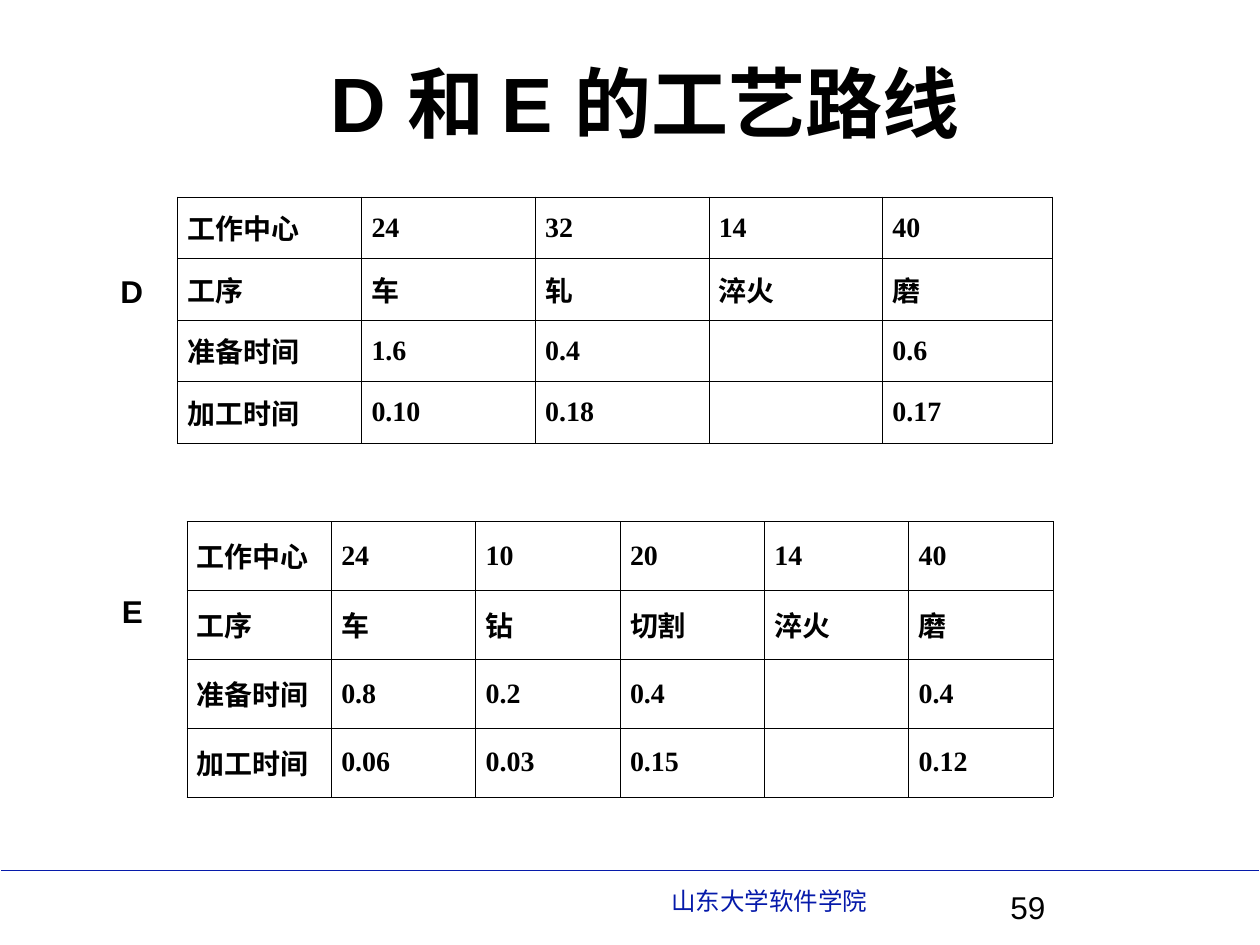
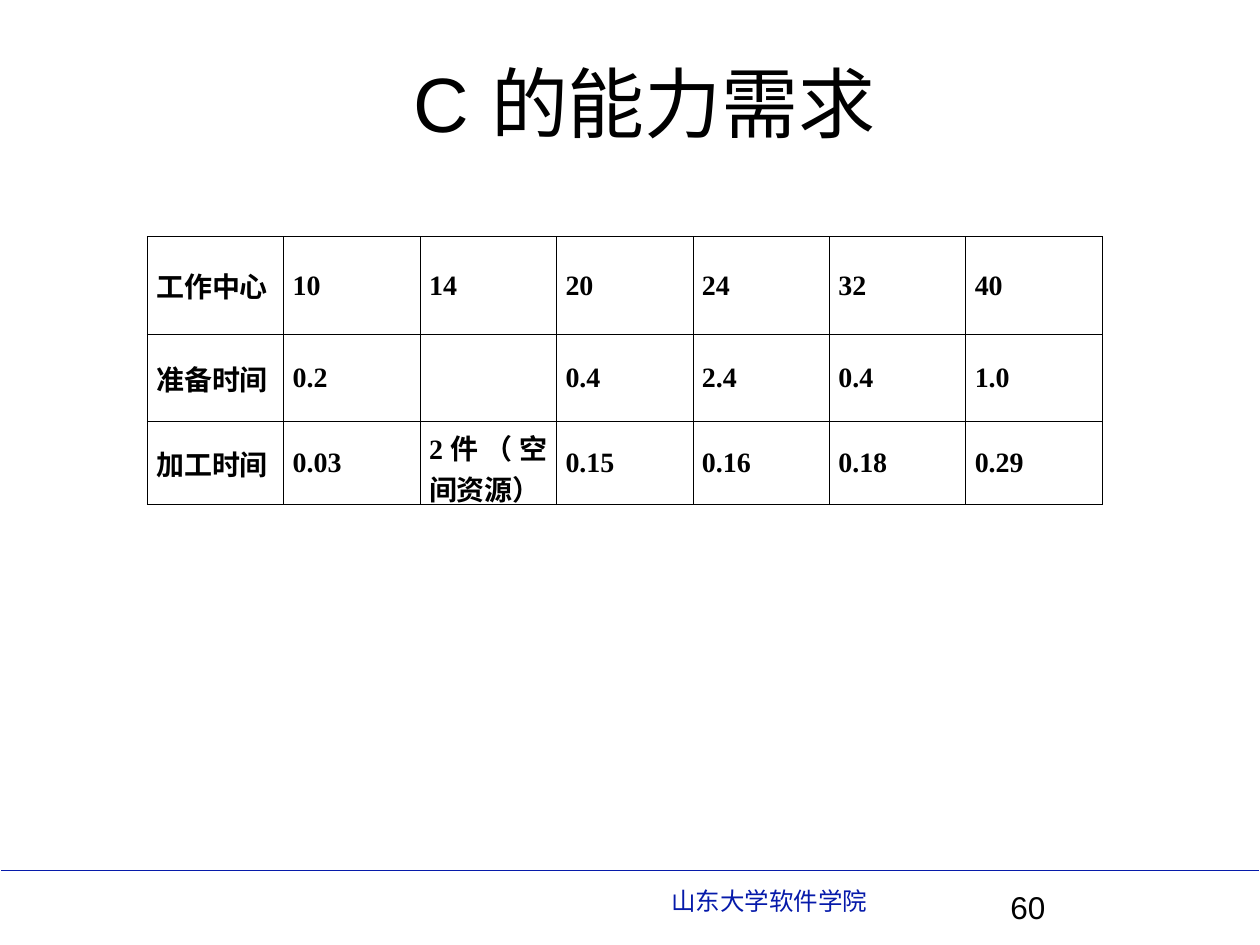
from pptx import Presentation
from pptx.dml.color import RGBColor
from pptx.enum.shapes import MSO_CONNECTOR
from pptx.enum.text import MSO_ANCHOR, MSO_AUTO_SIZE, PP_ALIGN
from pptx.oxml.ns import qn
from pptx.util import Cm, Pt
from lxml import etree

LINE = MSO_CONNECTOR.STRAIGHT
TOP, MIDDLE = MSO_ANCHOR.TOP, MSO_ANCHOR.MIDDLE
LEFT, CENTER, JUSTIFY = PP_ALIGN.LEFT, PP_ALIGN.CENTER, PP_ALIGN.JUSTIFY
FIXED = MSO_AUTO_SIZE.NONE

COLORS = {"ink": "000000", "blue": "061AAA"}
SANS, SERIF = "Arial", "Times New Roman"

# Boxes: left, top, width, height in cm
TITLE = (5.36, 0.99, 15.29, 2.13)
SCHOOL = (13.28, 17.73, 11, 0.86)
NUMBER = (20.12, 17.78, 5.28, 1.27)
RULE_Y = 17.55

CENTERS, STEPS, SETUP, RUN = "工作中心", "工序", "准备时间", "加工时间"


def write(frame, text, size=18, font=SANS, color="ink", bold=False,
          align=LEFT, anchor=TOP):
    """Fill a text frame with one formatted paragraph."""
    frame.word_wrap = True
    frame.vertical_anchor = anchor
    para = frame.paragraphs[0]
    para.alignment = align
    para.font.size = Pt(size)
    if text:
        run = para.add_run()
        run.text = text
        face = run.font
        face.name, face.size, face.bold = font, Pt(size), bold
        face.color.rgb = RGBColor.from_string(COLORS[color])


def label(slide, box, text, **style):
    shape = slide.shapes.add_textbox(*map(Cm, box))
    write(shape.text_frame, text, **style)


def head(slide, text, bold):
    title = slide.shapes.title
    title.left, title.top, title.width, title.height = map(Cm, TITLE)
    title.text_frame.auto_size = FIXED
    write(title.text_frame, text, size=44, bold=bold, align=CENTER)


def foot(slide, number):
    rule = slide.shapes.add_connector(
        LINE, Cm(0.03), Cm(RULE_Y), Cm(25.37), Cm(RULE_Y))
    rule.line.color.rgb = RGBColor.from_string(COLORS["blue"])
    rule.line.width = Pt(1)
    etree.SubElement(rule._element.spPr, qn("a:effectLst"))
    label(slide, SCHOOL, "山东大学软件学院", size=14, color="blue")
    label(slide, NUMBER, str(number))


def frame_cell(cell):
    """Draw a thin line on all four sides of a cell."""
    props = cell._tc.get_or_add_tcPr()
    for side in ("lnL", "lnR", "lnT", "lnB"):
        edge = etree.SubElement(props, qn("a:" + side), w=str(Pt(0.45)))
        fill = etree.SubElement(edge, qn("a:solidFill"))
        etree.SubElement(fill, qn("a:srgbClr"), val=COLORS["ink"])


def grid(slide, left, top, widths, heights, rows, pad=0.2):
    shape = slide.shapes.add_table(
        len(heights), len(widths), Cm(left), Cm(top),
        Cm(sum(widths)), Cm(sum(heights)))
    table = shape.table
    table.first_row = table.horz_banding = False
    for col, width in zip(table.columns, widths):
        col.width = Cm(width)
    for row, height, texts in zip(table.rows, heights, rows):
        row.height = Cm(height)
        for cell, text in zip(row.cells, texts):
            frame_cell(cell)
            cell.fill.background()
            cell.margin_left = cell.margin_right = Cm(pad)
            write(cell.text_frame, text, size=16, font=SERIF, bold=True,
                  align=JUSTIFY)
            cell.vertical_anchor = MIDDLE


def page(deck, number, title, bold=False):
    slide = deck.slides.add_slide(deck.slide_layouts[5])
    head(slide, title, bold)
    foot(slide, number)
    return slide


def routes(deck):
    slide = page(deck, 59, "D 和 E 的工艺路线", bold=True)
    # Route of part D
    label(slide, (2.18, 5.36, 1.19, 1.02), "D", bold=True)
    grid(slide, 3.58, 3.97, [3.71, 3.5, 3.5, 3.5, 3.43], [1.24] * 4, [
        [CENTERS, "24", "32", "14", "40"],
        [STEPS, "车", "轧", "淬火", "磨"],
        [SETUP, "1.6", "0.4", "", "0.6"],
        [RUN, "0.10", "0.18", "", "0.17"],
    ])
    # Route of part E
    label(slide, (2.21, 11.81, 1.19, 1.02), "E", bold=True)
    grid(slide, 3.77, 10.51, [2.91] * 6, [1.39] * 4, [
        [CENTERS, "24", "10", "20", "14", "40"],
        [STEPS, "车", "钻", "切割", "淬火", "磨"],
        [SETUP, "0.8", "0.2", "0.4", "", "0.4"],
        [RUN, "0.06", "0.03", "0.15", "", "0.12"],
    ])


def needs(deck):
    slide = page(deck, 60, "C 的能力需求")
    grid(slide, 2.97, 4.77, [2.75] * 7, [1.98, 1.74, 1.68], [
        [CENTERS, "10", "14", "20", "24", "32", "40"],
        [SETUP, "0.2", "", "0.4", "2.4", "0.4", "1.0"],
        [RUN, "0.03", "2件（空间资源）", "0.15", "0.16", "0.18", "0.29"],
    ], pad=0.18)


def main():
    deck = Presentation()
    deck.slide_width, deck.slide_height = Cm(25.4), Cm(19.05)
    routes(deck)
    needs(deck)
    deck.save("out.pptx")


if __name__ == "__main__":
    main()
